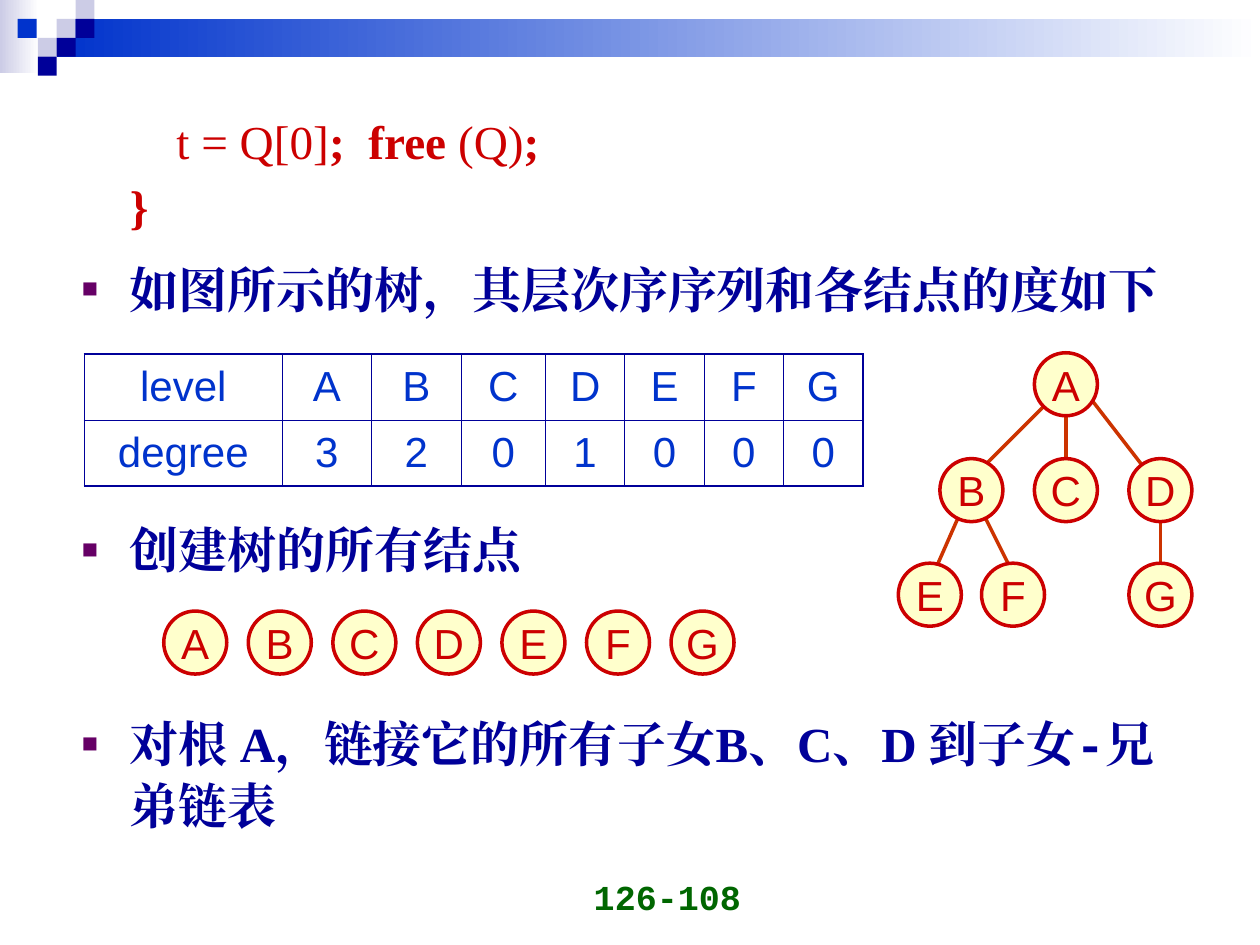
from lxml import etree
from pptx import Presentation
from pptx.dml.color import RGBColor
from pptx.enum.lang import MSO_LANGUAGE_ID
from pptx.enum.shapes import MSO_CONNECTOR, MSO_SHAPE
from pptx.enum.text import MSO_ANCHOR, MSO_AUTO_SIZE, PP_ALIGN
from pptx.oxml import parse_xml
from pptx.oxml.ns import nsdecls, qn
from pptx.util import Inches, Pt

RECTANGLE = MSO_SHAPE.RECTANGLE
OVAL = MSO_SHAPE.OVAL
STRAIGHT = MSO_CONNECTOR.STRAIGHT
CENTER = PP_ALIGN.CENTER
RIGHT = PP_ALIGN.RIGHT
TOP = MSO_ANCHOR.TOP
MIDDLE = MSO_ANCHOR.MIDDLE
BOTTOM = MSO_ANCHOR.BOTTOM
NO_FIT = MSO_AUTO_SIZE.NONE
CHINESE = MSO_LANGUAGE_ID.SIMPLIFIED_CHINESE

COLORS = {
    "white": "FFFFFF", "lavender": "CCCCE6", "navy": "000099", "blue": "0033CC",
    "green": "006600", "red": "CC0000", "rust": "CC3300", "cream": "FFFFCC",
    "purple": "660066",
}
SERIF, SANS, MONO = "Times New Roman", "Arial", "Courier New"
COLUMNS, ROWS = 100, 75

presentation = Presentation()
presentation.slide_width = Inches(10)
presentation.slide_height = Inches(7.5)
column = presentation.slide_width / COLUMNS
row = presentation.slide_height / ROWS
slide = presentation.slides.add_slide(presentation.slide_layouts[1])
title = slide.shapes.title
title.element.getparent().remove(title.element)
body = slide.placeholders[1]


def grid(left, top, width, height):
    return round(left * column), round(top * row), round(width * column), round(height * row)


def add_run(paragraph, text, font_name, size, color, bold=False):
    run = paragraph.add_run()
    run.text = text
    run.font.name = font_name
    run.font.size = Pt(size)
    run.font.bold = bold
    run.font.color.rgb = RGBColor.from_string(COLORS[color])
    run.font.language_id = CHINESE
    east_asian = etree.SubElement(run.font._element, qn("a:ea"))
    east_asian.set("typeface", font_name)


banner = [
    (0, 0, 3.1, 5.8, "lavender", True),
    (4.5, 1.5, 95.5, 3, "blue", True),
    (4.5, 1.5, 1.5, 1.5, "lavender", False),
    (6, 0, 1.5, 1.5, "lavender", False),
    (6, 1.5, 1.5, 1.5, "navy", False),
    (3, 3, 1.5, 1.5, "lavender", False),
    (1.4, 1.5, 1.5, 1.5, "blue", False),
    (4.5, 3, 1.5, 1.5, "navy", False),
    (3, 4.5, 1.5, 1.5, "navy", False),
]
for *box, color, fades in banner:
    shape = slide.shapes.add_shape(RECTANGLE, *grid(*box))
    shape.shadow.inherit = False
    shape.line.fill.background()
    if fades:
        shape.fill.gradient()
        shape.fill.gradient_angle = 0
        for stop, stop_color in zip(shape.fill.gradient_stops, (color, "white")):
            stop.color.rgb = RGBColor.from_string(COLORS[stop_color])
    else:
        shape.fill.solid()
        shape.fill.fore_color.rgb = RGBColor.from_string(COLORS[color])

page_number = slide.shapes.add_textbox(*grid(36.5, 68.3, 23.3, 5))
page_number.text_frame.word_wrap = True
page_number.text_frame.vertical_anchor = BOTTOM
paragraph = page_number.text_frame.paragraphs[0]
paragraph.alignment = RIGHT
add_run(paragraph, "126-108", MONO, 20, "green", True)

body.left, body.top, body.width, body.height = grid(5.5, 8, 89.8, 60.6)
frame = body.text_frame
frame.auto_size = NO_FIT
frame.vertical_anchor = TOP
frame.word_wrap = True
body_lines = [
    (0, 7.5, False, [("t = Q[0]", SERIF, 27, "red"), (";  free ", SERIF, 27, "red", True),
                     ("(Q)", SERIF, 27, "red"), (";", SERIF, 27, "red", True)]),
    (1.6, 3.8, False, [("}", SERIF, 27, "red", True)]),
    (12.6, 3.8, True, [("如图所示的树，其层次序序列和各结点的度如下", SERIF, 28, "navy", True)]),
    (113.7, 3.8, True, [("创建树的所有结点", SERIF, 28, "navy", True)]),
    (75.5, 3.8, True, [("对根 A，链接它的所有子女B、C、D 到子女", SERIF, 28, "navy", True),
                       ("-", MONO, 28, "navy", True),
                       ("兄弟链表", SERIF, 28, "navy", True)]),
]
for index, (space, indent, bulleted, runs) in enumerate(body_lines):
    paragraph = frame.paragraphs[0] if index == 0 else frame.add_paragraph()
    paragraph.line_spacing = Pt(35.4)
    paragraph.space_before = Pt(space)
    properties = paragraph._p.get_or_add_pPr()
    properties.set("marL", str(round(indent * column)))
    properties.set("indent", str(round(-indent * column) if bulleted else 0))
    if bulleted:
        bullet_color = etree.SubElement(properties, qn("a:buClr"))
        etree.SubElement(bullet_color, qn("a:srgbClr")).set("val", COLORS["purple"])
        etree.SubElement(properties, qn("a:buSzPct")).set("val", "55000")
        etree.SubElement(properties, qn("a:buFont")).set("typeface", SANS)
        etree.SubElement(properties, qn("a:buChar")).set("char", "■")
    else:
        etree.SubElement(properties, qn("a:buNone"))
    for run in runs:
        add_run(paragraph, *run)

tree_edges = [
    (92.1, 40.5, 92.1, 46.3), (86.3, 31.3, 92.1, 38.8), (77.9, 40.5, 80.4, 45.5),
    (76.3, 40.5, 74.1, 45.5), (82.9, 32.2, 77.9, 37.2), (84.6, 32.2, 84.6, 37.2),
]
for edge in tree_edges:
    connector = slide.shapes.add_connector(STRAIGHT, *grid(*edge))
    connector.line.color.rgb = RGBColor.from_string(COLORS["rust"])
    connector.line.width = Pt(2)
    etree.SubElement(connector._element.spPr, qn("a:effectLst"))

tree_nodes = [
    ("A", 82.1, 28), ("B", 74.6, 36.4), ("C", 82.1, 36.4), ("D", 89.6, 36.4),
    ("E", 71.3, 44.7), ("F", 77.9, 44.7), ("G", 89.6, 44.7),
]
row_nodes = [(letter, 13 + 6.71 * index, 48.5) for index, letter in enumerate("ABCDEFG")]
for letter, left, top in tree_nodes + row_nodes:
    node = slide.shapes.add_shape(OVAL, *grid(left, top, 5, 5))
    node.shadow.inherit = False
    node.fill.solid()
    node.fill.fore_color.rgb = RGBColor.from_string(COLORS["cream"])
    node.line.color.rgb = RGBColor.from_string(COLORS["red"])
    node.line.width = Pt(2)
    frame = node.text_frame
    frame.margin_left = frame.margin_right = frame.margin_top = frame.margin_bottom = 0
    frame.word_wrap = False
    frame.vertical_anchor = MIDDLE
    frame.paragraphs[0].alignment = CENTER
    add_run(frame.paragraphs[0], letter, SANS, 24, "red")

values = [["level", *"ABCDEFG"], ["degree", *"3201000"]]
widths = [15.7, 7.1, 7.1, 6.7, 6.3, 6.3, 6.3, 6.3]
last_row, last_column = len(values) - 1, len(widths) - 1
table = slide.shapes.add_table(
    len(values), len(widths), *grid(6.7, 28.1, sum(widths), 10.5)).table
table.first_row = False
table.horz_banding = False
for table_column, width in zip(table.columns, widths):
    table_column.width = round(width * column)
for row_index, row_values in enumerate(values):
    for column_index, value in enumerate(row_values):
        cell = table.cell(row_index, column_index)
        cell.fill.background()
        cell.vertical_anchor = MIDDLE
        paragraph = cell.text_frame.paragraphs[0]
        paragraph.alignment = CENTER
        add_run(paragraph, value, SANS, 24, "blue")
        edges = [("lnL", column_index == 0), ("lnR", column_index == last_column),
                 ("lnT", row_index == 0), ("lnB", row_index == last_row)]
        for position, (tag, outer) in enumerate(edges):
            width = Pt(1.08) if outer else Pt(0.45)
            border = parse_xml(
                f'<a:{tag} {nsdecls("a")} w="{width}"><a:solidFill>'
                f'<a:srgbClr val="{COLORS["navy"]}"/></a:solidFill></a:{tag}>')
            cell._tc.get_or_add_tcPr().insert(position, border)

presentation.save("out.pptx")
